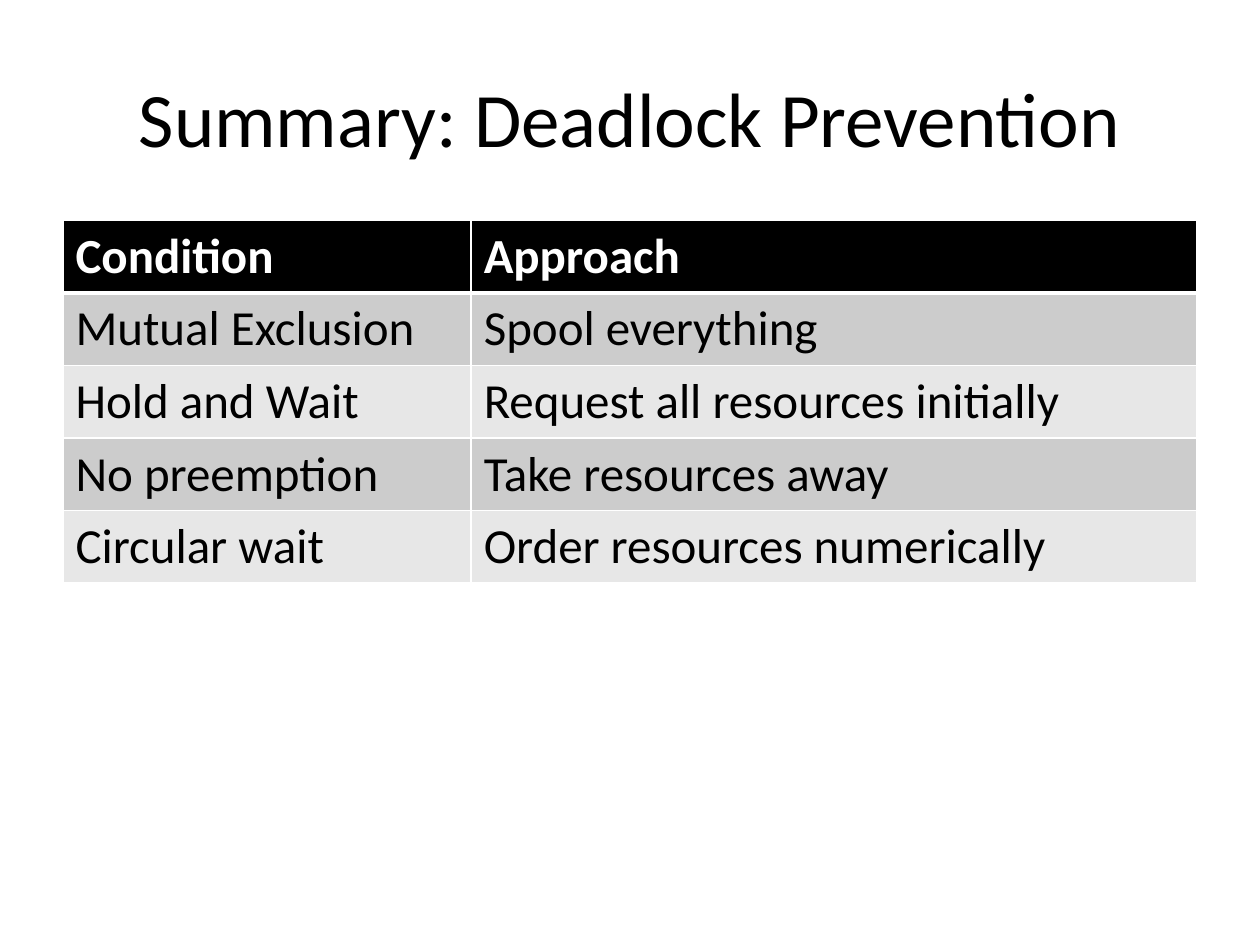
"""Build a slide that sums up the ways to prevent deadlock."""
from dataclasses import dataclass

from lxml.etree import SubElement
from pptx import Presentation
from pptx.dml.color import RGBColor
from pptx.enum.text import MSO_ANCHOR, PP_ALIGN
from pptx.oxml.ns import qn
from pptx.slide import Slide
from pptx.table import _Cell
from pptx.util import Pt

FONT = "Calibri"
COLORS = {"ink": "000000", "paper": "FFFFFF", "dark": "CCCCCC", "light": "E7E7E7"}
WIDTHS = (233.28, 414.72)
HEIGHT = 40.8


@dataclass
class Row:
    cond: str
    plan: str


ROWS = [
    Row("Condition", "Approach"),
    Row("Mutual Exclusion", "Spool everything"),
    Row("Hold and Wait", "Request all resources initially"),
    Row("No preemption", "Take resources away"),
    Row("Circular wait", "Order resources numerically"),
]


def color(name: str) -> RGBColor:
    return RGBColor.from_string(COLORS[name])


def edge(cell: _Cell, side: str, width: float) -> None:
    props = cell._tc.get_or_add_tcPr()
    line = SubElement(props, qn(f"a:ln{side}"), w=str(Pt(width)))
    fill = SubElement(line, qn("a:solidFill"))
    SubElement(fill, qn("a:srgbClr"), val=COLORS["paper"])


def style(cell: _Cell, text: str, index: int) -> None:
    head = index == 0
    widths = {"L": 1, "R": 1, "T": 3 if index == 1 else 1, "B": 3 if head else 1}
    for side, width in widths.items():
        edge(cell, side, width)
    cell.fill.solid()
    band = "dark" if index % 2 else "light"
    cell.fill.fore_color.rgb = color("ink" if head else band)
    cell.text = text
    font = cell.text_frame.paragraphs[0].font
    font.name, font.size, font.bold = FONT, Pt(28), head
    font.color.rgb = color("paper" if head else "ink")


def draw_title(slide: Slide, text: str) -> None:
    title = slide.shapes.title
    title.left, title.top = Pt(36), Pt(21.6)
    title.width, title.height = Pt(648), Pt(90)
    frame = title.text_frame
    frame.text = text
    frame.vertical_anchor = MSO_ANCHOR.MIDDLE
    para = frame.paragraphs[0]
    para.alignment = PP_ALIGN.CENTER
    para.font.name, para.font.size = FONT, Pt(44)
    para.font.color.rgb = color("ink")


def draw_table(slide: Slide, rows: list[Row]) -> None:
    table = slide.shapes.add_table(
        len(rows), len(WIDTHS), Pt(36), Pt(126),
        Pt(sum(WIDTHS)), Pt(HEIGHT * len(rows))).table
    for col, width in zip(table.columns, WIDTHS):
        col.width = Pt(width)
    for index, row in enumerate(rows):
        for col, text in enumerate((row.cond, row.plan)):
            style(table.cell(index, col), text, index)


def main() -> None:
    deck = Presentation()
    deck.slide_width, deck.slide_height = Pt(720), Pt(540)
    slide = deck.slides.add_slide(deck.slide_layouts[5])
    draw_title(slide, "Summary: Deadlock Prevention")
    draw_table(slide, ROWS)
    deck.save("out.pptx")


if __name__ == "__main__":
    main()
